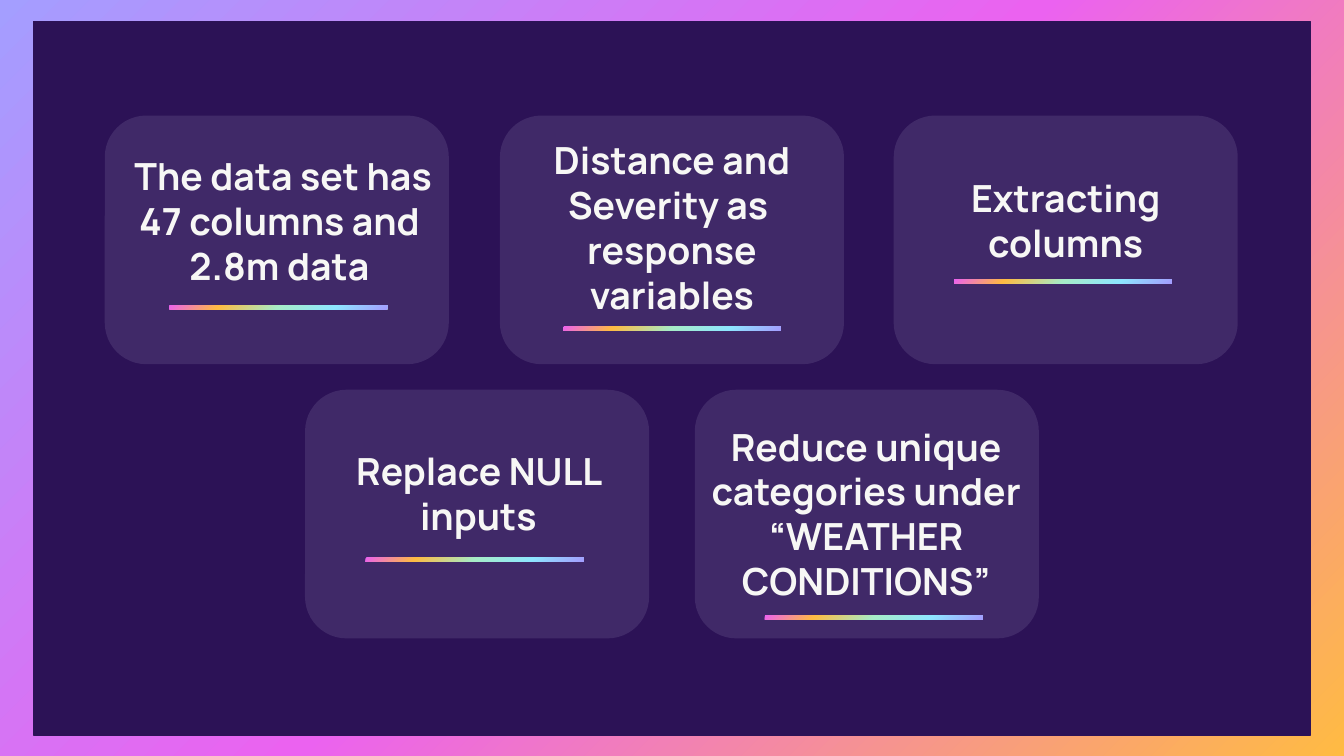
from lxml import etree
from pptx import Presentation
from pptx.dml.color import RGBColor
from pptx.enum.shapes import MSO_SHAPE
from pptx.enum.text import MSO_ANCHOR, PP_ALIGN
from pptx.oxml.ns import qn
from pptx.util import Inches, Pt

RECT, ROUNDED = MSO_SHAPE.RECTANGLE, MSO_SHAPE.ROUNDED_RECTANGLE
MIDDLE, CENTER = MSO_ANCHOR.MIDDLE, PP_ALIGN.CENTER

COLORS = {
    "panel": "2C1256", "card": "402968", "text": "F7F7F5",
    "violet": "A49EFF", "pink": "EB62F0", "orange": "FFBB43",
    "mint": "A7ECC8", "sky": "8EE6FF",
}
FRAME_STOPS = [(0, "violet"), (50, "pink"), (100, "orange")]
RAINBOW_STOPS = [(0, "pink"), (23, "orange"), (50, "mint"), (76, "sky"), (100, "violet")]

FONT = "Manrope"
CARD_W, CARD_H = 2.56, 1.85
RULE_W, RULE_H = 1.62, 0.03
TEXT_H = 0.4
TOP_ROW, BOTTOM_ROW = 0.86, 2.9

# Card left and top; text dx, dy, width; rule dx, dy; lines of text
CARDS = [
    (0.78, TOP_ROW, (0.02, 0.58, CARD_W), (0.48, 1.41),
     [" The data set has 47 columns and 2.8m data"]),
    (3.72, TOP_ROW, (0, 0.63, CARD_W), (0.47, 1.57),
     ["Distance and Severity as ", "response variables"]),
    (6.65, TOP_ROW, (0, 0.58, CARD_W), (0.45, 1.22),
     ["Extracting columns"]),
    (2.27, BOTTOM_ROW, (0.01, 0.57, CARD_W), (0.45, 1.25),
     ["Replace NULL inputs"]),
    (5.17, BOTTOM_ROW, (-0.17, 0.72, 2.89), (0.52, 1.68),
     ["Reduce unique categories under “WEATHER CONDITIONS”"]),
]


def rgb(name):
    return RGBColor.from_string(COLORS[name])


def set_gradient(fill, element, stops):
    """Diagonal gradient, from top left to bottom right."""
    fill.gradient()
    fill.gradient_angle = 315
    stop_list = next(element.iter(qn("a:gsLst")))
    for old_stop in list(stop_list):
        stop_list.remove(old_stop)
    for percent, name in stops:
        stop = etree.SubElement(stop_list, qn("a:gs"), pos=str(percent * 1000))
        etree.SubElement(stop, qn("a:srgbClr"), val=COLORS[name])


def add_block(slide, kind, left, top, width, height, color=None):
    block = slide.shapes.add_shape(
        kind, Inches(left), Inches(top), Inches(width), Inches(height))
    block.shadow.inherit = False
    block.line.fill.background()
    if color:
        block.fill.solid()
        block.fill.fore_color.rgb = rgb(color)
    return block


def add_frame(slide, left, top, width, height):
    set_gradient(slide.background.fill, slide.element, FRAME_STOPS)
    panel = add_block(slide, RECT, left, top, width, height, "panel")
    panel.line.color.rgb = rgb("panel")
    panel.line.width = Pt(0.75)


def add_statement(slide, left, top, width, height, lines):
    box = slide.shapes.add_textbox(
        Inches(left), Inches(top), Inches(width), Inches(height))
    frame = box.text_frame
    frame.word_wrap = True
    frame.vertical_anchor = MIDDLE
    frame.margin_left = frame.margin_right = Inches(0.1)
    frame.margin_top = frame.margin_bottom = Inches(0.1)
    paragraph = frame.paragraphs[0]
    paragraph.alignment = CENTER
    for index, line in enumerate(lines):
        if index:
            paragraph.add_line_break()
        run = paragraph.add_run()
        run.text = line
        run.font.name = FONT
        run.font.size = Pt(20)
        run.font.bold = True
        run.font.color.rgb = rgb("text")


def add_card(slide, left, top, text_place, rule_place, lines):
    card = add_block(slide, ROUNDED, left, top, CARD_W, CARD_H, "card")
    card.adjustments[0] = 0.167
    text_dx, text_dy, text_w = text_place
    add_statement(slide, left + text_dx, top + text_dy, text_w, TEXT_H, lines)
    # Rainbow rule under the statement
    rule_dx, rule_dy = rule_place
    rule = add_block(slide, RECT, left + rule_dx, top + rule_dy, RULE_W, RULE_H)
    set_gradient(rule.fill, rule.element, RAINBOW_STOPS)


def main():
    deck = Presentation()
    # Widescreen, 16:9
    deck.slide_width = Inches(10)
    deck.slide_height = deck.slide_width * 9 // 16
    slide = deck.slides.add_slide(deck.slide_layouts[6])
    add_frame(slide, 0.25, 0.16, 9.5, 5.31)
    for card in CARDS:
        add_card(slide, *card)
    deck.save("out.pptx")


if __name__ == "__main__":
    main()
